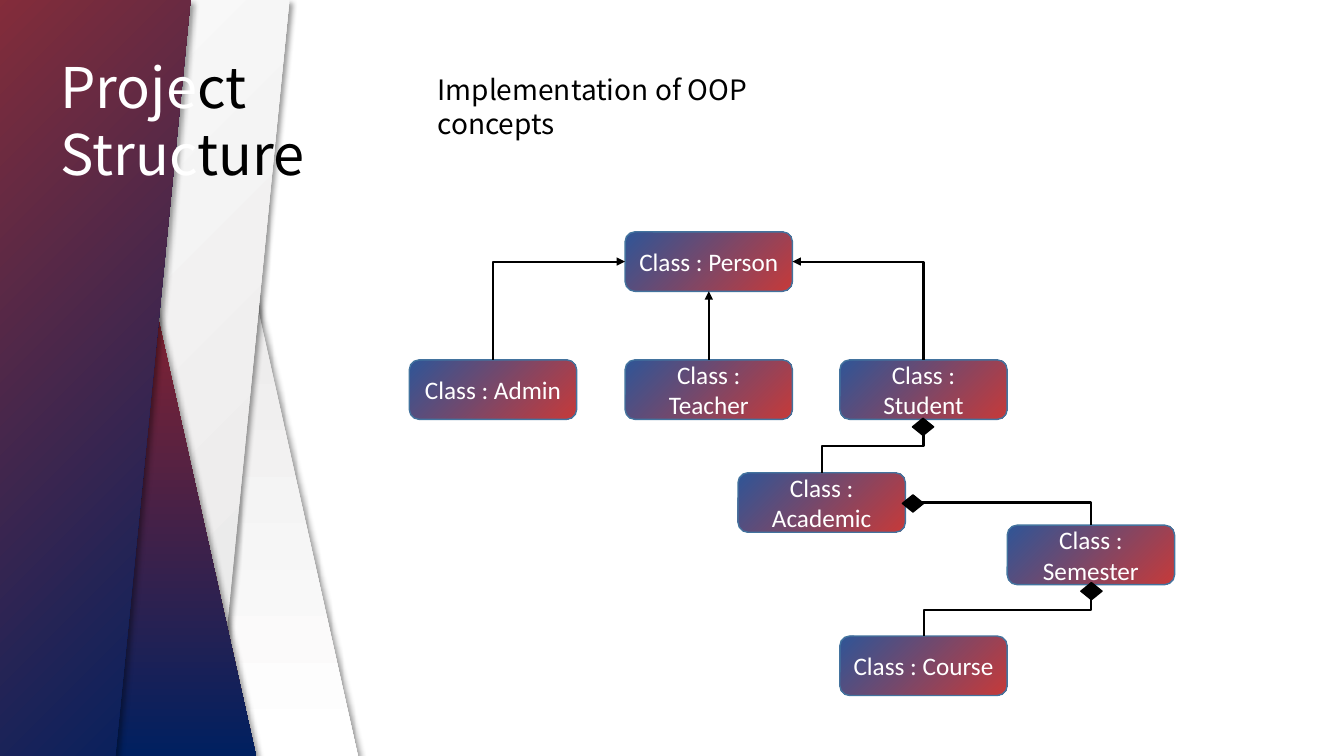
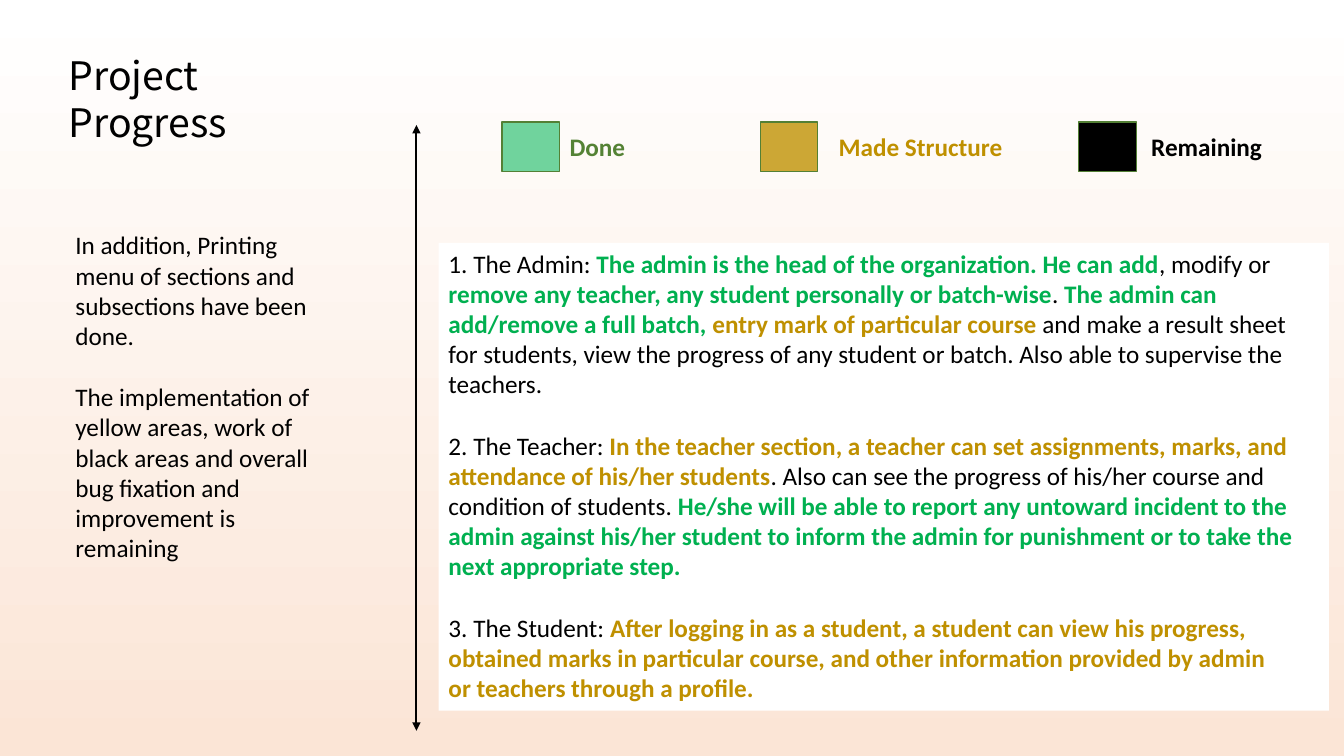
import dataclasses

import lxml.etree
import pptx
import pptx.dml.color
import pptx.enum.shapes
import pptx.enum.text
import pptx.oxml.ns
import pptx.util

PX = 9144
SHAPE = pptx.enum.shapes.MSO_SHAPE
CONNECTOR = pptx.enum.shapes.MSO_CONNECTOR
ALIGN = pptx.enum.text.PP_ALIGN
ANCHOR = pptx.enum.text.MSO_ANCHOR
TOP, LEFT, BOTTOM, RIGHT = range(4)


@dataclasses.dataclass(frozen=True)
class Theme:
    heading_font: str = "Noto Sans CJK SC"
    body_font: str = "Calibri"
    cover_size: int = 40
    title_size: int = 28
    subtitle_size: int = 20
    body_size: int = 18
    leading: float = 1.2
    paragraph_gap: int = 22
    thin: float = 1
    thick: float = 1.5
    black: str = "000000"
    white: str = "FFFFFF"
    class_fill: tuple = ("2F5597", "C63A3A")
    class_line: str = "43739E"
    ribbon_pale: tuple = ("E7E6E6", "FFFFFF")
    ribbon_lower: tuple = ("A52326", "002060")
    ribbon_upper: tuple = ("002060", "A63030")
    page_fill: tuple = ("FFFFFF", "FBE5D6")
    legend_line: str = "538035"
    done_fill: str = "70D39D"
    done_label: str = "548235"
    done_text: str = "00B050"
    structure_fill: str = "CCA735"
    structure_text: str = "BF9000"


THEME = Theme()


def rgb(value):
    return pptx.dml.color.RGBColor.from_string(value)


def add_xml(parent, tag, **attributes):
    return lxml.etree.SubElement(parent, pptx.oxml.ns.qn(tag), attributes)


class Builder:
    """Holds the theme and the current slide, and draws each kind of element."""

    def __init__(self, deck, theme):
        self.deck = deck
        self.theme = theme
        self.page = None

    def new_page(self):
        self.page = self.deck.slides.add_slide(self.deck.slide_layouts[5])

    def paint(self, fill, colour, angle=45):
        if isinstance(colour, tuple):
            fill.gradient()
            fill.gradient_angle = 360 - angle
            for stop, value in zip(fill.gradient_stops, colour):
                stop.color.rgb = rgb(value)
        else:
            fill.solid()
            fill.fore_color.rgb = rgb(colour)

    def outline(self, line, colour, width):
        line.color.rgb = rgb(colour)
        line.width = pptx.util.Pt(width)

    def shape(self, kind, left, top, width, height, fill, line=None, angle=45):
        box = self.page.shapes.add_shape(
            kind, left * PX, top * PX, width * PX, height * PX)
        box.shadow.inherit = False
        self.paint(box.fill, fill, angle)
        if line:
            self.outline(box.line, line, self.theme.thin)
        else:
            box.line.fill.background()
        return box

    def fill_text(self, frame, paragraphs, size, heading=False, align=ALIGN.LEFT,
                  anchor=ANCHOR.TOP, wrap=True):
        frame.word_wrap = wrap
        frame.auto_size = pptx.enum.text.MSO_AUTO_SIZE.NONE
        frame.vertical_anchor = anchor
        for number, lines in enumerate(paragraphs):
            para = frame.add_paragraph() if number else frame.paragraphs[0]
            para.alignment = align
            if heading:
                para.line_spacing = pptx.util.Pt(size * self.theme.leading)
            elif number:
                para.space_before = pptx.util.Pt(self.theme.paragraph_gap)
            for row, spans in enumerate(lines):
                if row:
                    para.add_line_break()
                for text, colour, bold in spans:
                    span = para.add_run()
                    span.text = text
                    span.font.name = (self.theme.heading_font if heading
                                      else self.theme.body_font)
                    span.font.size = pptx.util.Pt(size)
                    span.font.bold = bold
                    span.font.color.rgb = rgb(colour)

    def title(self, left, top, width, height, paragraphs, size):
        title = self.page.shapes.title
        title.left, title.top = left * PX, top * PX
        title.width, title.height = width * PX, height * PX
        self.fill_text(title.text_frame, paragraphs, size, heading=True)
        title.element.getparent().append(title.element)
        return title

    def text(self, left, top, width, height, paragraphs, size, **style):
        box = self.page.shapes.add_textbox(
            left * PX, top * PX, width * PX, height * PX)
        self.fill_text(box.text_frame, paragraphs, size, **style)

    def class_box(self, name, left, top):
        box = self.shape(SHAPE.ROUNDED_RECTANGLE, left, top, 166, 59,
                         self.theme.class_fill, self.theme.class_line)
        self.fill_text(box.text_frame,
                       [[[(f"Class : {name}", self.theme.white, False)]]],
                       self.theme.body_size, align=ALIGN.CENTER,
                       anchor=ANCHOR.MIDDLE)
        return box

    def ribbon(self, left, top, width, height, bend, fill, turned):
        band = self.shape(SHAPE.TRAPEZOID, left, top, width, height, fill,
                          angle=45 if turned else 90)
        band.adjustments[0] = bend
        band.rotation = 180 if turned else 0
        effects = band.element.spPr.find(pptx.oxml.ns.qn("a:effectLst"))
        shadow = add_xml(effects, "a:outerShdw", blurRad="50800", dist="38100",
                         dir="2700000", algn="tl", rotWithShape="0")
        colour = add_xml(shadow, "a:srgbClr", val=self.theme.black)
        add_xml(colour, "a:alpha", val="40000")

    def finish_line(self, line, head=False, tail=False):
        self.outline(line.line, self.theme.black, self.theme.thick)
        stroke = line.element.spPr.find(pptx.oxml.ns.qn("a:ln"))
        for tag, wanted in (("a:headEnd", head), ("a:tailEnd", tail)):
            if wanted:
                add_xml(stroke, tag, type="triangle")
        add_xml(line.element.spPr, "a:effectLst")

    def arrow(self, x, top, bottom):
        line = self.page.shapes.add_connector(
            CONNECTOR.STRAIGHT, x * PX, top * PX, x * PX, bottom * PX)
        self.finish_line(line, head=True, tail=True)

    def link(self, parent, site, child, head):
        straight = site == BOTTOM and (
            parent.left + parent.width // 2 == child.left + child.width // 2)
        kind = CONNECTOR.STRAIGHT if straight else CONNECTOR.ELBOW
        line = self.page.shapes.add_connector(kind, 0, 0, 0, 0)
        line.begin_connect(parent, site)
        line.end_connect(child, TOP)
        properties = line.element.spPr
        if site != BOTTOM:
            geometry = properties.find(pptx.oxml.ns.qn("a:prstGeom"))
            geometry.set("prst", "bentConnector2")
        elif not straight:
            shift = (line.width - line.height) // 2
            line.left, line.top = line.left + shift, line.top - shift
            line.width, line.height = line.height, line.width
            properties.xfrm.flipH = False
            properties.xfrm.set("rot", "5400000")
        self.finish_line(line, head=head)


def build_structure(builder):
    theme = builder.theme
    builder.new_page()
    places = {
        "Person": (620, 230), "Admin": (406, 357), "Teacher": (620, 357),
        "Student": (833, 357), "Academic": (732, 469),
        "Semester": (999, 521), "Course": (833, 631),
    }
    boxes = {name: builder.class_box(name, *place) for name, place in places.items()}
    for parent, site, child in (
            ("Person", LEFT, "Admin"), ("Person", BOTTOM, "Teacher"),
            ("Person", RIGHT, "Student"), ("Student", BOTTOM, "Academic"),
            ("Academic", RIGHT, "Semester"), ("Semester", BOTTOM, "Course")):
        builder.link(boxes[parent], site, boxes[child], head=parent == "Person")
    for left, top in ((905, 415), (895, 491), (1072, 578)):
        builder.shape(SHAPE.FLOWCHART_DECISION, left, top, 21, 17,
                      theme.black, theme.black)
    for lower_left, upper_left, lower, upper in (
            (-58, -152, theme.ribbon_pale, theme.ribbon_pale),
            (-159, -250, theme.ribbon_lower, theme.ribbon_upper)):
        builder.ribbon(lower_left, 196, 413, 554, 0.3, lower, False)
        builder.ribbon(upper_left, 0, 439, 750, 0.17, upper, True)
    words = (("Proje", "ct"), ("Struc", "ture"))
    title = builder.title(
        38, 47, 290, 145,
        [[[(start, theme.white, False), (end, theme.black, False)]]
         for start, end in words], theme.cover_size)
    first = title.text_frame.paragraphs[0]
    first._p.get_or_add_pPr().set("marL", str(12 * PX))
    builder.text(424, 67, 431, 80,
                 [[[("Implementation of OOP concepts", theme.black, False)]]],
                 theme.subtitle_size, heading=True)


def build_progress(builder):
    theme = builder.theme

    def plain(text):
        return text, theme.black, False

    def done(text):
        return text, theme.done_text, True

    def made(text):
        return text, theme.structure_text, True

    builder.new_page()
    builder.paint(builder.page.background.fill, theme.page_fill, 90)
    panel = builder.shape(SHAPE.RECTANGLE, 435, 241, 883, 464, theme.white)
    roles = [
        [[plain("1. The Admin: "),
          done("The admin is the head of the organization. He can add"),
          plain(", modify or")],
         [done("remove any teacher, any student personally or batch-wise"),
          plain(". "), done("The admin can")],
         [done("add/remove a full batch, "), made("entry mark of particular course"),
          plain(" and make a result sheet")],
         [plain("for students, view the progress of any student or batch. "
                "Also able to supervise the")],
         [plain("teachers.")]],
        [[plain("2. The Teacher: "),
          made("In the teacher section, a teacher can set assignments, marks, and")],
         [made("attendance of his/her students"),
          plain(". Also can see the progress of his/her course and")],
         [plain("condition of students. "),
          done("He/she will be able to report any untoward incident to the")],
         [done("admin against his/her student to inform the admin for punishment "
               "or to take the")],
         [done("next appropriate step.")]],
        [[plain("3. The Student: "),
          made("After logging in as a student, a student can view his progress,")],
         [made("obtained marks in particular course, and other information "
               "provided by admin")],
         [made("or teachers through a profile.")]],
    ]
    builder.fill_text(panel.text_frame, roles, theme.body_size)
    for left, fill, label_left, width, label, colour in (
            (498, theme.done_fill, 555, 81, "Done", theme.done_label),
            (754, theme.structure_fill, 822, 184, "Made Structure",
             theme.structure_text),
            (1070, theme.black, 1132, 137, "Remaining", theme.black)):
        builder.shape(SHAPE.RECTANGLE, left, 121, 57, 49, fill, theme.legend_line)
        builder.text(label_left, 125, width, 40, [[[(label, colour, True)]]],
                     theme.body_size, wrap=False)
    builder.title(58, 46, 250, 105, [[[plain("Project Progress")]]], theme.title_size)
    builder.arrow(413, 124, 725)
    notes = (
        "In addition, Printing menu of sections and subsections have been done.",
        "The implementation of yellow areas, work of black areas and overall "
        "bug fixation and improvement is remaining",
    )
    builder.text(65, 223, 264, 404, [[[plain(note)]] for note in notes],
                 theme.body_size)


def main():
    deck = pptx.Presentation()
    deck.slide_width = pptx.util.Inches(13.33)
    deck.slide_height = 750 * PX
    builder = Builder(deck, THEME)
    build_structure(builder)
    build_progress(builder)
    deck.save("out.pptx")


if __name__ == "__main__":
    main()
